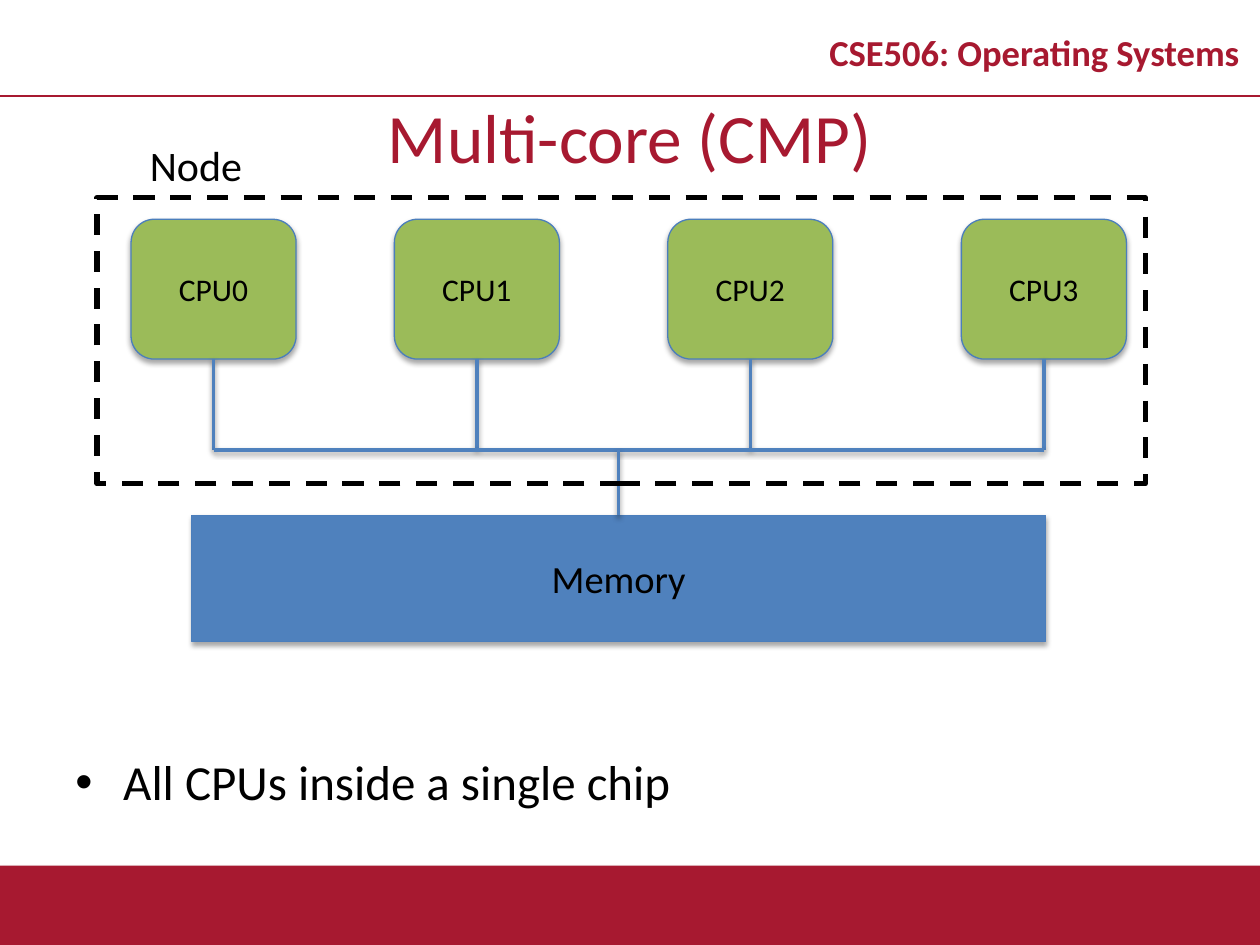
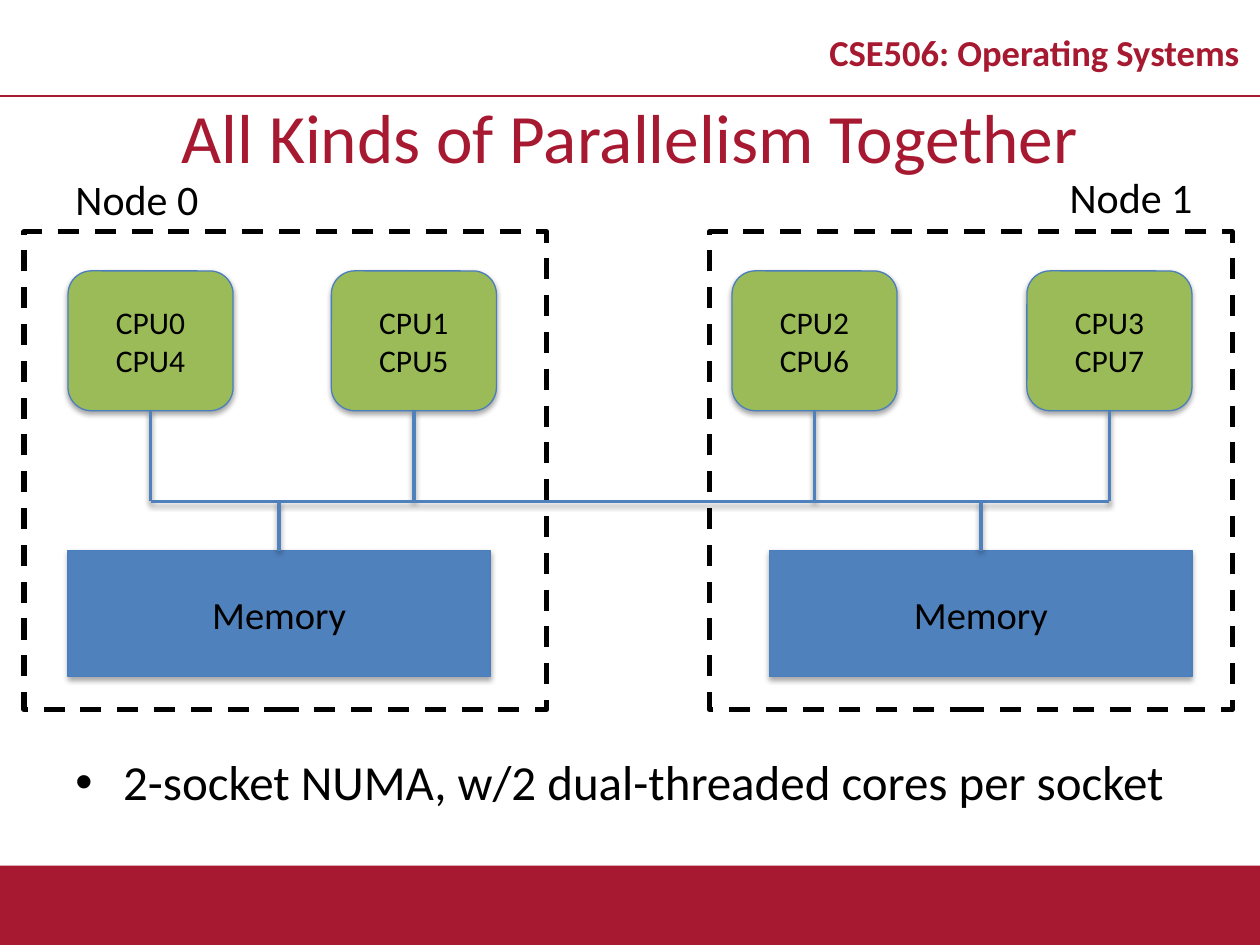
from lxml import etree
from pptx import Presentation
from pptx.dml.color import RGBColor
from pptx.enum.dml import MSO_LINE
from pptx.enum.shapes import MSO_CONNECTOR, MSO_SHAPE
from pptx.enum.text import MSO_ANCHOR, PP_ALIGN
from pptx.oxml.ns import qn
from pptx.util import Inches, Pt

CRIMSON, GREEN, BLUE, EDGE, BLACK = "A71930", "9BBB59", "4F81BD", "4B7EBC", "000000"
FONT = "Calibri"
BOTTOM, TOP = 2, 0
CPU_W, CPU_H, DROP = 1.31, 1.11, 0.72


def rgb(value):
    return RGBColor.from_string(value)


def center_x(sp):
    return (sp.left + sp.width / 2) / Inches(1)


class Deck:
    """Holds the shared style and the slide being drawn."""

    def __init__(self):
        self.prs = Presentation()
        self.prs.slide_width, self.prs.slide_height = Inches(10), Inches(7.5)

    def new_slide(self, title):
        self.s = self.prs.slides.add_slide(self.prs.slide_layouts[6])
        self.box(MSO_SHAPE.RECTANGLE, 0, 6.87, 10, 0.63, CRIMSON)
        self.line((0, 0.76), (10, 0.76), CRIMSON, 1, shadow=False)
        p = self.text("CSE506: Operating Systems", 6.42, 0.13, 3.58, 0.63, 20.9,
                      CRIMSON, PP_ALIGN.CENTER, bold=True)
        p.line_spacing = 0.8
        self.text(title, 0, 0.76, 10, 0.63, 39.6, CRIMSON, PP_ALIGN.CENTER)

    def shadow(self, sp, alpha=35, dist=1.8):
        """Add a soft shadow falling straight down; alpha 0 means none."""
        sp_pr = sp._element.spPr
        for old in sp_pr.findall(qn("a:effectLst")):
            sp_pr.remove(old)
        effects = etree.SubElement(sp_pr, qn("a:effectLst"))
        if alpha:
            outer = etree.SubElement(effects, qn("a:outerShdw"), blurRad=str(Pt(3.1)),
                                     dist=str(Pt(dist)), dir="5400000", rotWithShape="0")
            color = etree.SubElement(outer, qn("a:srgbClr"), val=BLACK)
            etree.SubElement(color, qn("a:alpha"), val=str(alpha * 1000))

    def add_lines(self, tf, lines, size, color, align, bold=False):
        for i, line in enumerate(lines):
            p = tf.paragraphs[0] if i == 0 else tf.add_paragraph()
            p.alignment = align
            r = p.add_run()
            r.text = line
            r.font.name, r.font.size, r.font.bold = FONT, Pt(size), bold
            r.font.color.rgb = rgb(color)

    def text(self, words, x, y, w, h, size, color=BLACK, align=PP_ALIGN.LEFT,
             bold=False, wrap=True):
        tf = self.s.shapes.add_textbox(Inches(x), Inches(y), Inches(w), Inches(h)).text_frame
        tf.word_wrap = wrap
        tf.vertical_anchor = MSO_ANCHOR.MIDDLE
        self.add_lines(tf, [words], size, color, align, bold)
        return tf.paragraphs[0]

    def bullet(self, words):
        p = self.text(words, 0.5, 5.91, 9, 0.58, 28)
        p_pr = p._p.get_or_add_pPr()
        p_pr.set("marL", str(Inches(0.38)))
        p_pr.set("indent", str(Inches(-0.38)))
        etree.SubElement(p_pr, qn("a:buFont"), typeface="Arial")
        etree.SubElement(p_pr, qn("a:buChar"), char="•")

    def box(self, kind, x, y, w, h, fill, edge=None, lines=(), size=18):
        sp = self.s.shapes.add_shape(kind, Inches(x), Inches(y), Inches(w), Inches(h))
        sp.fill.solid()
        sp.fill.fore_color.rgb = rgb(fill)
        if edge:
            sp.line.color.rgb = rgb(edge)
            sp.line.width = Pt(0.75)
        else:
            sp.line.fill.background()
        self.shadow(sp)
        sp.text_frame.vertical_anchor = MSO_ANCHOR.MIDDLE
        self.add_lines(sp.text_frame, lines, size, BLACK, PP_ALIGN.CENTER)
        return sp

    def line(self, start, end, color=BLUE, width=2, shadow=True):
        cn = self.s.shapes.add_connector(MSO_CONNECTOR.STRAIGHT,
                                         *(Inches(v) for v in (*start, *end)))
        cn.line.color.rgb = rgb(color)
        cn.line.width = Pt(width)
        self.shadow(cn, 38 if shadow else 0, 1.6)
        return cn

    def link(self, sp, side, bus_y):
        """Join the middle of a box's top or bottom to the bus."""
        edge_y = (sp.top + (sp.height if side == BOTTOM else 0)) / Inches(1)
        x = center_x(sp)
        self.line((x, edge_y), (x, bus_y)).begin_connect(sp, side)

    def cpus(self, y, columns):
        """Draw a row of CPUs hanging on one bus and return the bus height."""
        bus_y = y + CPU_H + DROP
        row = [self.box(MSO_SHAPE.ROUNDED_RECTANGLE, x, y, CPU_W, CPU_H, GREEN, EDGE, names)
               for x, names in columns]
        for cpu in row:
            self.link(cpu, BOTTOM, bus_y)
        self.line((center_x(row[0]), bus_y), (center_x(row[-1]), bus_y))
        return bus_y

    def memory(self, x, y, w, bus_y):
        sp = self.box(MSO_SHAPE.RECTANGLE, x, y, w, 1, BLUE, EDGE, ["Memory"], 22)
        self.link(sp, TOP, bus_y)

    def node(self, x, y, w, h, label, label_x, label_y, label_w):
        """Draw a dashed frame with its label above."""
        sp = self.s.shapes.add_shape(MSO_SHAPE.RECTANGLE, Inches(x), Inches(y),
                                     Inches(w), Inches(h))
        sp.shadow.inherit = False
        sp.fill.background()
        sp.line.color.rgb = rgb(BLACK)
        sp.line.width = Pt(3)
        sp.line.dash_style = MSO_LINE.DASH
        self.text(label, label_x, label_y, label_w, 0.5, 24, wrap=False)


def multi_core(deck):
    deck.new_slide("Multi-core (CMP)")
    deck.bullet("All CPUs inside a single chip")
    columns = [(x, [f"CPU{i}"]) for i, x in enumerate((1.04, 3.13, 5.3, 7.63))]
    bus_y = deck.cpus(1.74, columns)
    deck.memory(1.52, 4.09, 6.78, bus_y)
    deck.node(0.77, 1.57, 8.32, 2.27, "Node", 1.09, 1.06, 0.99)


def parallelism_together(deck):
    deck.new_slide("All Kinds of Parallelism Together")
    deck.bullet("2-socket NUMA, w/2 dual-threaded cores per socket")
    columns = [(x, [f"CPU{i}", f"CPU{i + 4}"])
               for i, x in enumerate((0.54, 2.63, 5.81, 8.15))]
    bus_y = deck.cpus(2.15, columns)
    for x in (0.54, 6.11):
        deck.memory(x, 4.37, 3.35, bus_y)
    for i, (x, label_x, label_y) in enumerate([(0.19, 0.5, 1.33), (5.63, 8.39, 1.31)]):
        deck.node(x, 1.84, 4.15, 3.79, f"Node {i}", label_x, label_y, 1.19)


def main():
    deck = Deck()
    multi_core(deck)
    parallelism_together(deck)
    deck.prs.save("out.pptx")


if __name__ == "__main__":
    main()
